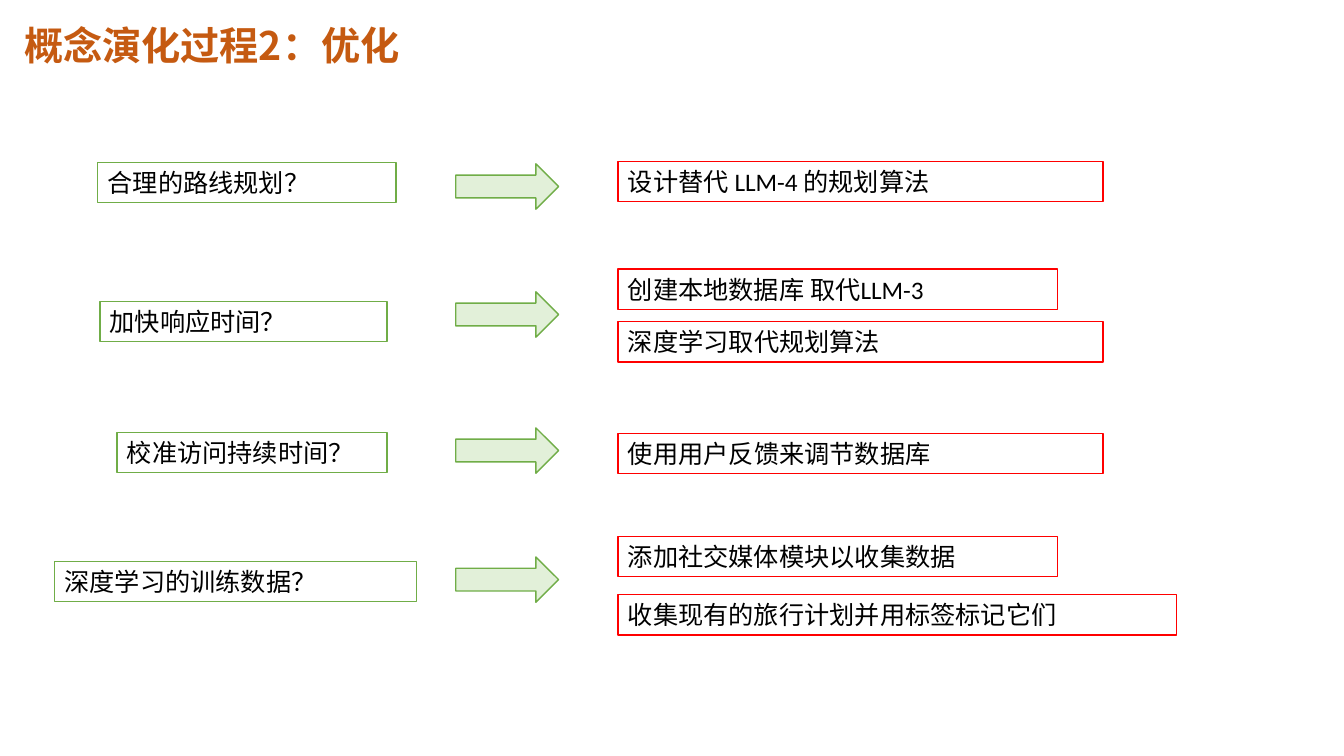
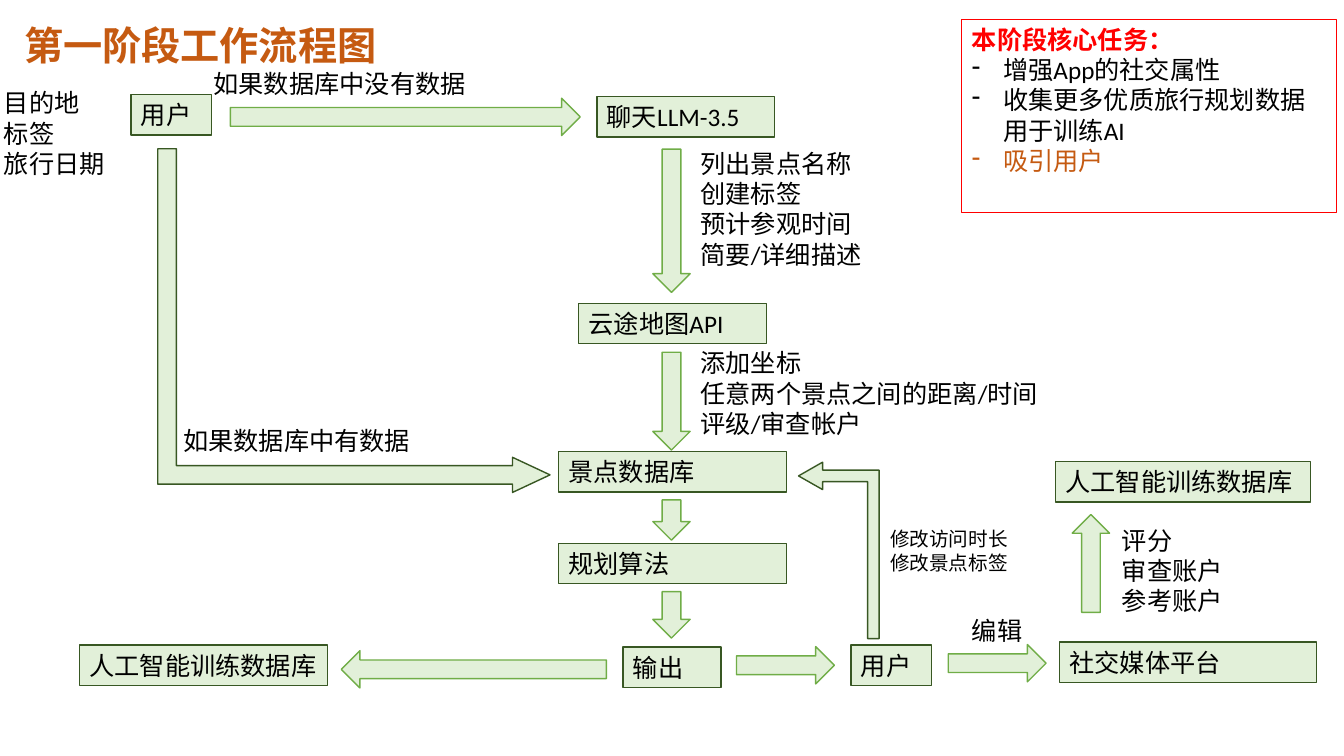
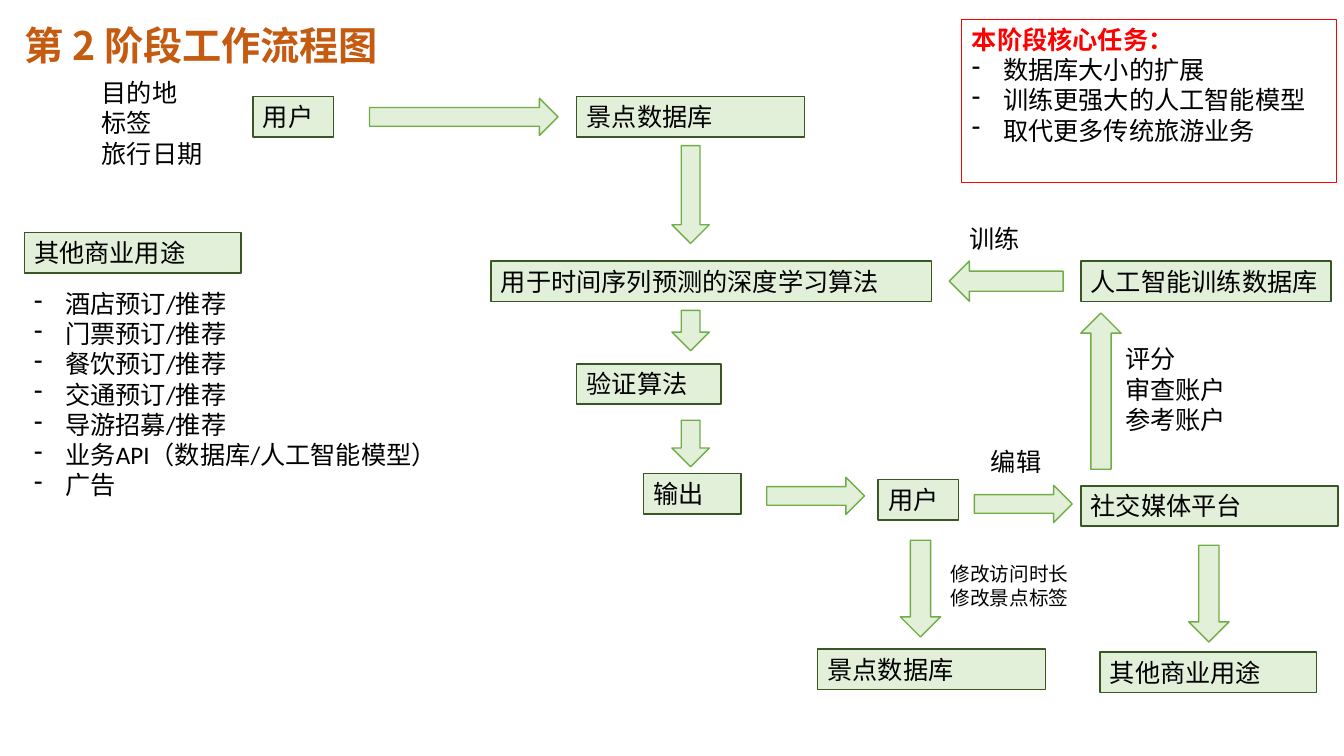
from lxml import etree
from pptx import Presentation
from pptx.dml.color import RGBColor
from pptx.enum.shapes import MSO_SHAPE
from pptx.enum.text import MSO_ANCHOR, PP_ALIGN
from pptx.oxml.ns import qn
from pptx.util import Inches, Pt

RECTANGLE = MSO_SHAPE.RECTANGLE
BENT_ARROW = MSO_SHAPE.BENT_UP_ARROW
RIGHT, LEFT = MSO_SHAPE.RIGHT_ARROW, MSO_SHAPE.LEFT_ARROW
UP, DOWN = MSO_SHAPE.UP_ARROW, MSO_SHAPE.DOWN_ARROW
ALIGN_LEFT, TOP = PP_ALIGN.LEFT, MSO_ANCHOR.TOP

COLORS = {
    "title": "C55A11",
    "text": "000000",
    "white": "FFFFFF",
    "pale green": "E2F0D9",
    "green": "70AD47",
    "dark green": "385723",
    "red": "FF0000",
}
TITLE = {"size": 28, "font": "Noto Sans CJK SC", "color": "title", "bold": True}
QUESTION = {"fill": "white", "line": "green"}
ANSWER = {"fill": "white", "line": "red"}
STEP = {"fill": "pale green", "line": "dark green"}
TASKS = {"line": "red", "line_width": 0.75, "bullet": "-"}
TASK_HEADING = ("本阶段核心任务：", {"color": "red", "bold": True, "bullet": None})
BOX_HEIGHT = 0.4
BULLET_INDENT = Inches(0.31)


def add_text(slide, lines, left, top, width, height=BOX_HEIGHT, fill=None, line=None,
             line_width=1, **text_format):
    """Add a text box, or a rectangle if line is set; a line may be (text, own format)."""
    place = [Inches(value) for value in (left, top, width, height)]
    if line:
        shape = slide.shapes.add_shape(RECTANGLE, *place)
        shape.shadow.inherit = False
        shape.line.color.rgb = RGBColor.from_string(COLORS[line])
        shape.line.width = Pt(line_width)
        if fill:
            shape.fill.solid()
            shape.fill.fore_color.rgb = RGBColor.from_string(COLORS[fill])
        else:
            shape.fill.background()
    else:
        shape = slide.shapes.add_textbox(*place)
    frame = shape.text_frame
    frame.word_wrap = True
    frame.vertical_anchor = TOP

    for index, item in enumerate([lines] if isinstance(lines, str) else lines):
        text, own_format = (item, {}) if isinstance(item, str) else item
        style = {"size": 18, "font": "Calibri", "color": "text", "bold": False,
                 "bullet": None, **text_format, **own_format}
        paragraph = frame.add_paragraph() if index else frame.paragraphs[0]
        paragraph.alignment = ALIGN_LEFT
        run = paragraph.add_run()
        run.text = text
        run.font.name = style["font"]
        run.font.size = Pt(style["size"])
        run.font.bold = style["bold"]
        run.font.color.rgb = RGBColor.from_string(COLORS[style["color"]])
        east_asian = etree.SubElement(run.font._element, qn("a:ea"))
        east_asian.set("typeface", style["font"])
        if style["bullet"]:
            properties = paragraph._p.get_or_add_pPr()
            properties.set("marL", str(BULLET_INDENT))
            properties.set("indent", str(-BULLET_INDENT))
            etree.SubElement(properties, qn("a:buChar")).set("char", style["bullet"])


def add_arrow(slide, kind, center_x, center_y, length, thickness=0.37, line="green",
              rotation=0, adjustments=()):
    """Add a block arrow around its centre; length runs along its direction."""
    width, height = (thickness, length) if kind in (UP, DOWN) else (length, thickness)
    shape = slide.shapes.add_shape(
        kind, Inches(center_x - width / 2), Inches(center_y - height / 2),
        Inches(width), Inches(height))
    shape.rotation = rotation
    for index, value in enumerate(adjustments):
        shape.adjustments[index] = value
    shape.shadow.inherit = False
    shape.fill.solid()
    shape.fill.fore_color.rgb = RGBColor.from_string(COLORS["pale green"])
    shape.line.color.rgb = RGBColor.from_string(COLORS[line])
    shape.line.width = Pt(1)


presentation = Presentation()
presentation.slide_width = Inches(13.33)
presentation.slide_height = Inches(7.5)
blank_layout = presentation.slide_layouts[6]

slides = []
for title in ("概念演化过程2：优化", "第一阶段工作流程图", "第 2 阶段工作流程图"):
    slide = presentation.slides.add_slide(blank_layout)
    add_text(slide, title, 0.14, 0.16, 8.44, 0.57, **TITLE)
    slides.append(slide)
optimization, first_stage, second_stage = slides

# Slide 1: questions, arrows and answers
questions = [
    ("合理的路线规划？", 0.97, 1.61, 2.96),
    ("加快响应时间？", 0.99, 2.99, 2.85),
    ("校准访问持续时间？", 1.16, 4.29, 2.68),
    ("深度学习的训练数据？", 0.54, 5.57, 3.59),
]
for text, left, top, width in questions:
    add_text(optimization, text, left, top, width, **QUESTION)

for center_y in (1.85, 3.12, 4.47, 5.75):
    add_arrow(optimization, RIGHT, 5.03, center_y, 1.02, 0.45)

answers = [
    ("设计替代 LLM-4 的规划算法", 1.6, 4.81),
    ("创建本地数据库 取代LLM-3", 2.67, 4.36),
    ("深度学习取代规划算法", 3.19, 4.81),
    ("使用用户反馈来调节数据库", 4.3, 4.81),
    ("添加社交媒体模块以收集数据", 5.32, 4.36),
    ("收集现有的旅行计划并用标签标记它们", 5.9, 5.54),
]
for text, top, width in answers:
    add_text(optimization, text, 6.13, top, width, **ANSWER)

# Slides 2 and 3: steps of each workflow
trip_input = ["目的地", "标签", "旅行日期"]
account_data = ["评分", "审查账户", "参考账户"]
user_edits = ["修改访问时长", "修改景点标签"]

steps = [
    (first_stage, "用户", 1.3, 0.94, 0.8),
    (first_stage, "聊天LLM-3.5", 5.92, 0.96, 1.76),
    (first_stage, "云途地图API", 5.74, 3.01, 1.86),
    (first_stage, "景点数据库", 5.54, 4.48, 2.26),
    (first_stage, "规划算法", 5.54, 5.39, 2.26),
    (first_stage, "输出", 6.18, 6.42, 0.97),
    (first_stage, "人工智能训练数据库", 0.79, 6.4, 2.46),
    (first_stage, "用户", 8.44, 6.4, 0.8),
    (first_stage, "社交媒体平台", 10.51, 6.37, 2.55),
    (first_stage, "人工智能训练数据库", 10.47, 4.58, 2.53),
    (second_stage, "用户", 2.51, 0.96, 0.8),
    (second_stage, "景点数据库", 5.72, 0.96, 2.26),
    (second_stage, "用于时间序列预测的深度学习算法", 4.87, 2.59, 4.37),
    (second_stage, "验证算法", 5.72, 3.61, 1.43),
    (second_stage, "输出", 6.38, 4.7, 0.97),
    (second_stage, "用户", 8.71, 4.76, 0.8),
    (second_stage, "社交媒体平台", 10.72, 4.82, 2.55),
    (second_stage, "人工智能训练数据库", 10.72, 2.59, 2.48),
    (second_stage, "景点数据库", 8.11, 6.44, 2.26),
    (second_stage, "其他商业用途", 10.91, 6.47, 2.15),
    (second_stage, "其他商业用途", 0.24, 2.31, 2.15),
]
for slide, text, left, top, width in steps:
    add_text(slide, text, left, top, width, **STEP)

# Straight arrows: centre, length, thickness
arrows = [
    (first_stage, RIGHT, 4.02, 1.16, 3.47, 0.37),
    (first_stage, DOWN, 6.66, 2.19, 1.42, 0.37),
    (first_stage, DOWN, 6.66, 3.98, 0.97, 0.37),
    (first_stage, DOWN, 6.66, 5.16, 0.4, 0.37),
    (first_stage, DOWN, 6.66, 6.1, 0.46, 0.37),
    (first_stage, LEFT, 4.7, 6.64, 2.63, 0.37),
    (first_stage, RIGHT, 7.79, 6.6, 0.97, 0.37),
    (first_stage, RIGHT, 9.89, 6.58, 0.97, 0.37),
    (first_stage, UP, 10.82, 5.59, 0.97, 0.37),
    (second_stage, RIGHT, 4.6, 1.16, 1.87, 0.37),
    (second_stage, DOWN, 6.85, 1.93, 0.97, 0.37),
    (second_stage, DOWN, 6.85, 3.28, 0.4, 0.37),
    (second_stage, DOWN, 6.85, 4.4, 0.46, 0.37),
    (second_stage, RIGHT, 8.09, 4.92, 0.97, 0.37),
    (second_stage, RIGHT, 10.15, 5, 0.97, 0.37),
    (second_stage, LEFT, 9.98, 2.79, 1.13, 0.4),
    (second_stage, UP, 10.92, 3.88, 1.55, 0.4),
    (second_stage, DOWN, 9.13, 5.84, 0.96, 0.4),
    (second_stage, DOWN, 11.99, 5.89, 0.96, 0.4),
]
for arrow in arrows:
    add_arrow(*arrow)

add_arrow(first_stage, BENT_ARROW, 3.51, 3.18, 3.41, 3.89, line="dark green",
          rotation=90, adjustments=(0.054, 0.051, 0.109))
add_arrow(first_stage, BENT_ARROW, 8.32, 5.46, 1.75, 0.8, line="dark green",
          rotation=270, adjustments=(0.143, 0.17, 0.299))

# Labels beside the arrows
labels = [
    (first_stage, trip_input, -0.06, 0.82, 1.3, 1.01),
    (first_stage, "如果数据库中没有数据", 2.02, 0.63, 4.14),
    (first_stage, "如果数据库中有数据", 1.72, 4.17, 3.6),
    (first_stage, ["列出景点名称", "创建标签", "预计参观时间", "简要/详细描述"],
     6.85, 1.42, 2.6, 1.31),
    (first_stage, ["添加坐标", "任意两个景点之间的距离/时间", "评级/审查帐户"],
     6.85, 3.4, 4.76, 1.01),
    (first_stage, account_data, 11.03, 5.16, 2, 1.01),
    (first_stage, "编辑", 9.54, 6.06, 0.91),
    (second_stage, trip_input, 0.91, 0.72, 1.5, 1.01),
    (second_stage, account_data, 11.06, 3.36, 2, 1.01),
    (second_stage, "编辑", 9.73, 4.38, 0.91),
    (second_stage, "训练", 9.52, 2.17, 0.91),
]
for label in labels:
    add_text(*label)

add_text(first_stage, user_edits, 8.73, 5.18, 1.7, 0.57, size=14)
add_text(second_stage, user_edits, 9.33, 5.53, 1.7, 0.57, size=14)

# Core tasks and business uses
add_text(first_stage,
         [TASK_HEADING, "增强App的社交属性", "收集更多优质旅行规划数据用于训练AI",
          ("吸引用户", {"color": "title"})],
         9.54, 0.19, 3.72, 1.92, **TASKS)
add_text(second_stage,
         [TASK_HEADING, "数据库大小的扩展", "训练更强大的人工智能模型", "取代更多传统旅游业务"],
         9.54, 0.19, 3.72, 1.62, **TASKS)

services = ["酒店预订", "门票预订", "餐饮预订", "交通预订", "导游招募"]
business_uses = [f"{service}/推荐" for service in services]
business_uses += ["业务API（数据库/人工智能模型）", "广告"]
add_text(second_stage, business_uses, 0.24, 2.81, 5.23, 2.83, bullet="-")

presentation.save("out.pptx")
